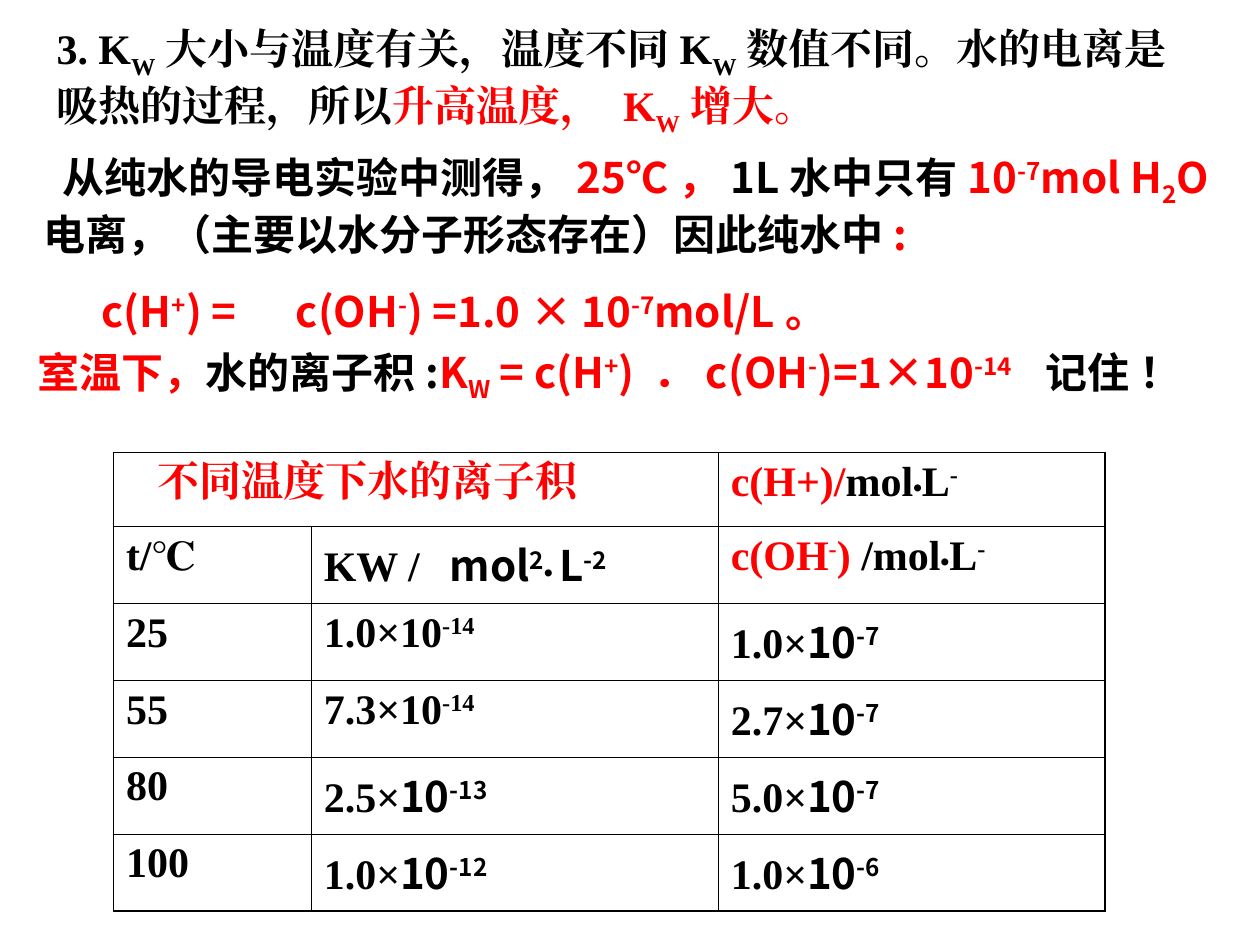
import pptx
import pptx.util
import pptx.dml.color
import pptx.oxml
import pptx.oxml.ns
from lxml import etree

Inches, Pt = pptx.util.Inches, pptx.util.Pt
BLACK = pptx.dml.color.RGBColor(0, 0, 0)
RED = pptx.dml.color.RGBColor(255, 0, 0)
SANS, SERIF, DOT = "Noto Sans CJK SC", "Times New Roman", "Arial"
UP, DOWN = 30000, -25000
SIZE, DOT_SIZE = 24, 14
THICK, THIN = 1.08, 0.45


def red(text, shift=0, font=None):
    return text, RED, shift, font


def black(text, shift=0, font=None):
    return text, BLACK, shift, font


def power(factor, exponent, font=SANS):
    return [black(factor + "×"), black("10", 0, font), black(exponent, UP, font)]


# Content: paragraphs are (first-line indent, tab stops, runs)
STATEMENT = [(0, [], [
    black("3. K"), black("W", DOWN), black("大小与温度有关，温度不同K"),
    black("W", DOWN), black("数值不同。水的电离是吸热的过程，所以"),
    red("升高温度， K"), red("W", DOWN), red("增大。")])]
EXPERIMENT = [
    (0.15, [], [
        black("从纯水的导电实验中测得，"), red("25℃，"), black("1L水中只有"),
        red("10"), red("-7", UP), red("mol H"), red("2", DOWN), red("O"),
        black("电离，（主要以水分子形态存在）因此纯水中"), red(":")]),
    (0.46, [1.67], [
        red("c(H"), red("+", UP), red(") =\tc(OH"), red("-", UP),
        red(") =1.0 × 10"), red("-7", UP), red("mol/L。")])]
ION_PRODUCT = [(0, [7.97], [
    red("室温下，"), black("水的离子积:"), red("K"), red("W", DOWN),
    red(" = c(H"), red("+", UP), red(") ．c(OH"), red("-", UP),
    red(")=1×10"), red("-14", UP), black("\t记住 ！")])]

# (left, top, width, height), font, paragraphs
TEXT_BOXES = [
    ((0.25, 1.15, 9.75, 1.57), SANS, EXPERIMENT),
    ((0.35, 0.13, 9.29, 1.01), SERIF, STATEMENT),
    ((0.2, 2.7, 9.45, 0.56), SANS, ION_PRODUCT),
]

PER_LITRE = [black("•", 0, DOT), black("L"), black("-", UP)]
TABLE_ROWS = [
    [[red("不同温度下水的离子积")], [],
     [red("c(H+)/"), black("mol")] + PER_LITRE],
    [[black("t/℃")],
     [black("KW /\t"), black("mol", 0, SANS), black("2", UP, SANS),
      black("• ", 0, DOT), black("L", 0, SANS), black("-2", UP, SANS)],
     [red("c(OH"), red("-", UP), red(")"), black(" /mol")] + PER_LITRE],
    [[black("25")], power("1.0", "-14", SERIF), power("1.0", "-7")],
    [[black("55")], power("7.3", "-14", SERIF), power("2.7", "-7")],
    [[black("80")], power("2.5", "-13"), power("5.0", "-7")],
    [[black("100")], power("1.0", "-12"), power("1.0", "-6")],
]
CELL_LAYOUT = {(0, 0): (0.25, []), (1, 1): (0, [0.94])}
COLUMN_WIDTHS = [1.57, 3.23, 3.07]
ROW_HEIGHTS = [0.59] + [0.61] * 5
TABLE_LEFT, TABLE_TOP = 0.9, 3.59


def fill_paragraph(paragraph, indent, stops, runs, base_font):
    properties = paragraph._p.get_or_add_pPr()
    properties.set("indent", str(Inches(indent)))
    if stops:
        tabs = pptx.oxml.ns.qn("a:tabLst")
        tab_list = etree.SubElement(properties, tabs)
        for stop in stops:
            etree.SubElement(tab_list, pptx.oxml.ns.qn("a:tab"),
                             pos=str(Inches(stop)), algn="l")
    for text, color, shift, font in runs:
        span = paragraph.add_run()
        span.text = text
        span.font.name = font or base_font
        span.font.size = Pt(DOT_SIZE if font == DOT else SIZE)
        span.font.bold = True
        span.font.color.rgb = color
        east_asian = etree.SubElement(span.font._element, pptx.oxml.ns.qn("a:ea"))
        east_asian.set("typeface", font or base_font)
        if shift:
            span.font._element.set("baseline", str(shift))


def set_borders(cell, widths):
    properties = cell._tc.get_or_add_tcPr()
    for side, width in zip("LRTB", widths):
        properties.append(pptx.oxml.parse_xml(
            f'<a:ln{side} xmlns:a="http://schemas.openxmlformats.org/drawingml/2006/main"'
            f' w="{Pt(width)}"><a:solidFill><a:srgbClr val="{BLACK}"/></a:solidFill>'
            f'</a:ln{side}>'))


def add_text_box(page, place, font, paragraphs):
    box = page.shapes.add_textbox(*[Inches(value) for value in place])
    frame = box.text_frame
    frame.word_wrap = True
    for number, (indent, stops, runs) in enumerate(paragraphs):
        paragraph = frame.add_paragraph() if number else frame.paragraphs[0]
        if number:
            paragraph.space_before = Pt(15)
        fill_paragraph(paragraph, indent, stops, runs, font)


def add_ion_table(page):
    row_count, column_count = len(ROW_HEIGHTS), len(COLUMN_WIDTHS)
    table = page.shapes.add_table(
        row_count, column_count, Inches(TABLE_LEFT), Inches(TABLE_TOP),
        Inches(sum(COLUMN_WIDTHS)), Inches(sum(ROW_HEIGHTS))).table
    table.first_row = table.horz_banding = False
    for column, width in zip(table.columns, COLUMN_WIDTHS):
        column.width = Inches(width)
    for row, height in zip(table.rows, ROW_HEIGHTS):
        row.height = Inches(height)
    table.cell(0, 0).merge(table.cell(0, 1))
    for r, row in enumerate(TABLE_ROWS):
        for c, runs in enumerate(row):
            cell = table.cell(r, c)
            # Thick lines only on the outer frame
            outer = (c == 0, c == column_count - 1, r == 0, r == row_count - 1)
            set_borders(cell, [THICK if edge else THIN for edge in outer])
            cell.fill.background()
            indent, stops = CELL_LAYOUT.get((r, c), (0, []))
            fill_paragraph(cell.text_frame.paragraphs[0], indent, stops, runs, SERIF)


def main():
    deck = pptx.Presentation()
    deck.slide_width, deck.slide_height = Inches(10), Inches(7.5)
    page = deck.slides.add_slide(deck.slide_layouts[6])
    for place, font, paragraphs in TEXT_BOXES:
        add_text_box(page, place, font, paragraphs)
    add_ion_table(page)
    deck.save("out.pptx")


if __name__ == "__main__":
    main()
